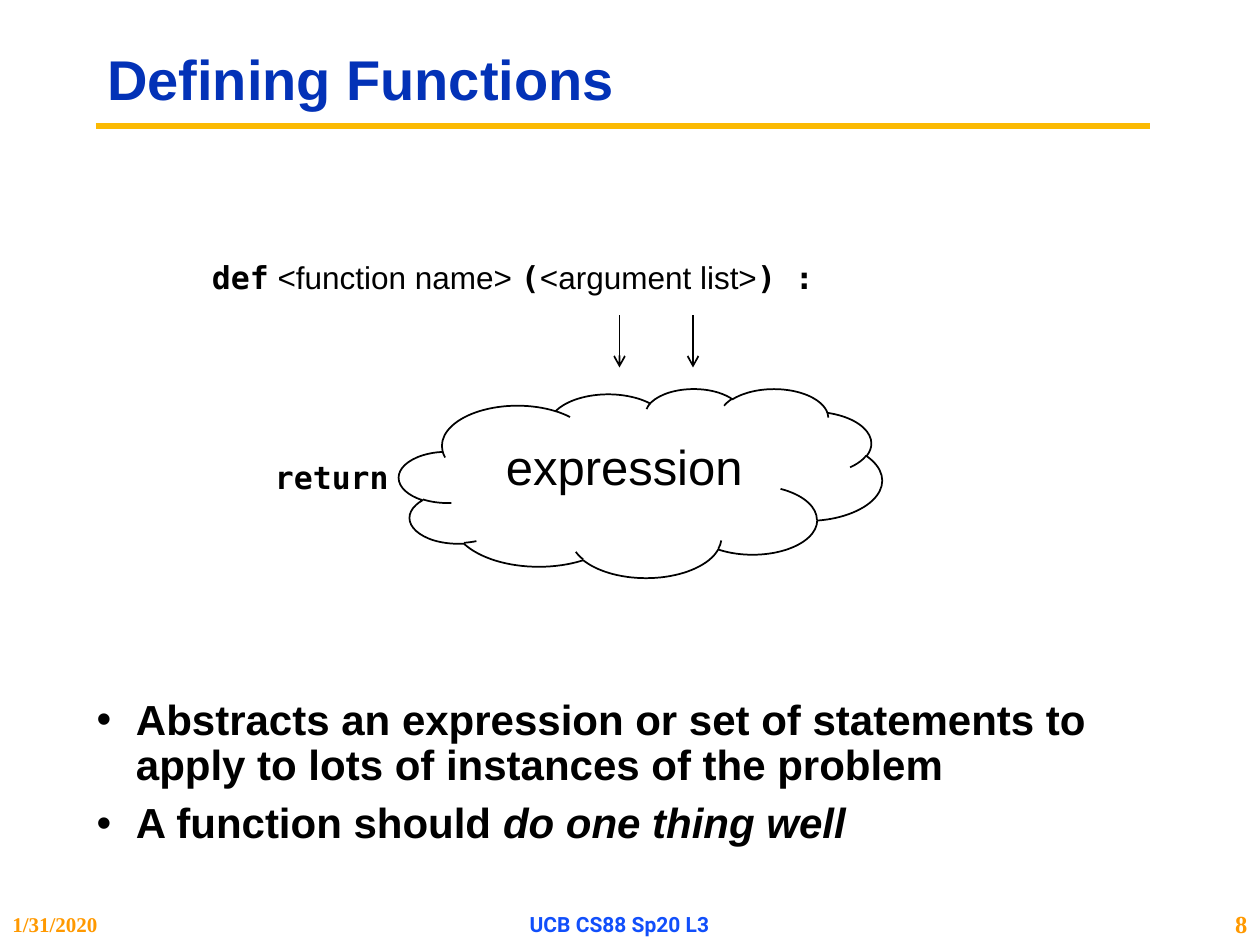
"""Build the slide on defining functions."""
from dataclasses import dataclass

from lxml import etree
from pptx import Presentation
from pptx import util as u
from pptx.dml.color import RGBColor
from pptx.enum import shapes, text
from pptx.oxml import ns

Pt = u.Pt
Align = text.PP_ALIGN
Fit = text.MSO_AUTO_SIZE


@dataclass(frozen=True)
class Theme:
    """Hold the colours, fonts and type sizes."""
    ink: str = "000000"
    blue: str = "0332B7"
    gold: str = "FBBA03"
    amber: str = "FF9900"
    azure: str = "114FFB"
    sans: str = "Arial"
    mono: str = "DejaVu Sans Mono"
    serif: str = "Times New Roman"
    foot: str = "Roboto"
    head: int = 32
    cloud: int = 28
    list: int = 24
    code: int = 18
    page: int = 14
    small: int = 12


LOOK = Theme()


def paint(para, words, size, font=LOOK.sans, color=LOOK.ink, bold=False, slant=False):
    """Add a formatted run to a paragraph."""
    run = para.add_run()
    run.text = words
    face = run.font
    face.name, face.size, face.bold, face.italic = font, Pt(size), bold, slant
    face.color.rgb = RGBColor.from_string(color)


def place(shape, box):
    """Move and size a shape in points."""
    shape.left, shape.top, shape.width, shape.height = map(Pt, box)


def label(slide, box, runs, align=Align.LEFT, fixed=False):
    """Add a one-line text box made of (words, format) runs."""
    frame = slide.shapes.add_textbox(*map(Pt, box)).text_frame
    frame.word_wrap = fixed
    frame.auto_size = Fit.NONE if fixed else Fit.SHAPE_TO_FIT_TEXT
    if fixed:
        frame.vertical_anchor = text.MSO_ANCHOR.MIDDLE
    para = frame.paragraphs[0]
    para.alignment = align
    for words, form in runs:
        paint(para, words, **form)


def title(slide, words):
    """Fill the title placeholder."""
    shape = slide.shapes.title
    place(shape, (54, 18, 606, 58.5))
    frame = shape.text_frame
    frame.auto_size = Fit.NONE
    frame.vertical_anchor = text.MSO_ANCHOR.MIDDLE
    para = frame.paragraphs[0]
    para.alignment, para.line_spacing = Align.LEFT, 0.9
    paint(para, words, LOOK.head, color=LOOK.blue, bold=True)


def points(slide, items):
    """Fill the body placeholder with bullets of (words, slant) runs."""
    shape = slide.placeholders[1]
    place(shape, (48, 396, 600, 102))
    frame = shape.text_frame
    frame.auto_size = Fit.NONE
    for num, runs in enumerate(items):
        para = frame.add_paragraph() if num else frame.paragraphs[0]
        para.line_spacing, para.space_before = 0.9, Pt(0.3 * LOOK.list)
        props = para._p.get_or_add_pPr()
        props.set("marL", str(Pt(22.5)))
        props.set("indent", str(-Pt(22.5)))
        etree.SubElement(props, ns.qn("a:buChar")).set("char", "•")
        for words, slant in runs:
            paint(para, words, LOOK.list, bold=True, slant=slant)


def stroke(slide, start, end, color=LOOK.ink, width=1, arrow=False):
    """Draw a straight line, with an arrowhead if asked."""
    line = slide.shapes.add_connector(
        shapes.MSO_CONNECTOR.STRAIGHT, *map(Pt, (*start, *end)))
    line.line.color.rgb = RGBColor.from_string(color)
    line.line.width = Pt(width)
    if arrow:
        tail = etree.SubElement(line.line._get_or_add_ln(), ns.qn("a:tailEnd"))
        tail.set("type", "arrow")
    etree.SubElement(line._element.spPr, ns.qn("a:effectLst"))


def cloud(slide, box):
    """Draw an unfilled cloud."""
    shape = slide.shapes.add_shape(shapes.MSO_SHAPE.CLOUD, *map(Pt, box))
    shape.shadow.inherit = False
    shape.fill.background()
    shape.line.color.rgb = RGBColor.from_string(LOOK.ink)
    shape.line.width = Pt(1)


def main():
    """Build and save the slide."""
    deck = Presentation()
    deck.slide_width, deck.slide_height = Pt(720), Pt(540)
    slide = deck.slides.add_slide(deck.slide_layouts[1])

    title(slide, "Defining Functions")
    stroke(slide, (54.75, 72), (657, 72), LOOK.gold, 3.75)
    points(slide, [
        [("Abstracts an expression or set of statements to apply to lots of "
          "instances of the problem", False)],
        [("A function should ", False), ("do one thing well", True)],
    ])

    code = dict(size=LOOK.code, font=LOOK.mono, bold=True)
    plain = dict(size=LOOK.code)
    label(slide, (282, 246, 151, 41), [("expression", dict(size=LOOK.cloud))])
    cloud(slide, (228, 222, 276, 108))
    label(slide, (114, 144, 361.5, 29), [
        ("def", code), (" <function name> ", plain), ("(", code),
        ("<argument list>", plain), (") :", code)])
    label(slide, (150, 258, 80, 29), [("return", code)])
    for left in (354, 396):
        stroke(slide, (left, 180), (left, 210), arrow=True)

    for left, width, words, align, size, font, color in (
            (678, 42, "8", Align.RIGHT, LOOK.page, LOOK.serif, LOOK.amber),
            (0, 120, "1/31/2020", Align.LEFT, LOOK.small, LOOK.serif, LOOK.amber),
            (240, 228, "UCB CS88 Sp20 L3", Align.CENTER, LOOK.small, LOOK.foot,
             LOOK.azure)):
        form = dict(size=size, font=font, color=color, bold=True)
        label(slide, (left, 516, width, 24), [(words, form)], align, fixed=True)

    deck.save("out.pptx")


if __name__ == "__main__":
    main()
